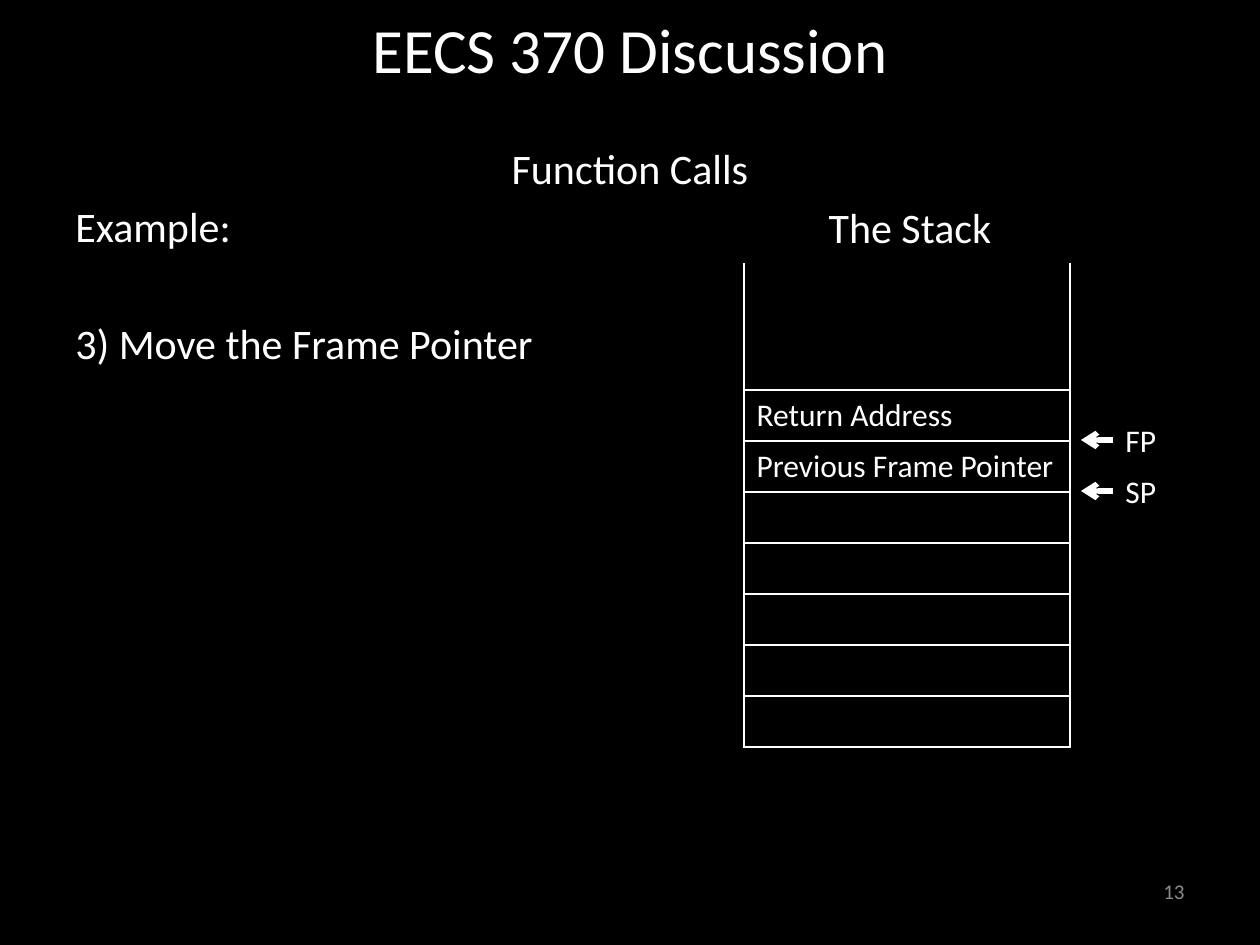
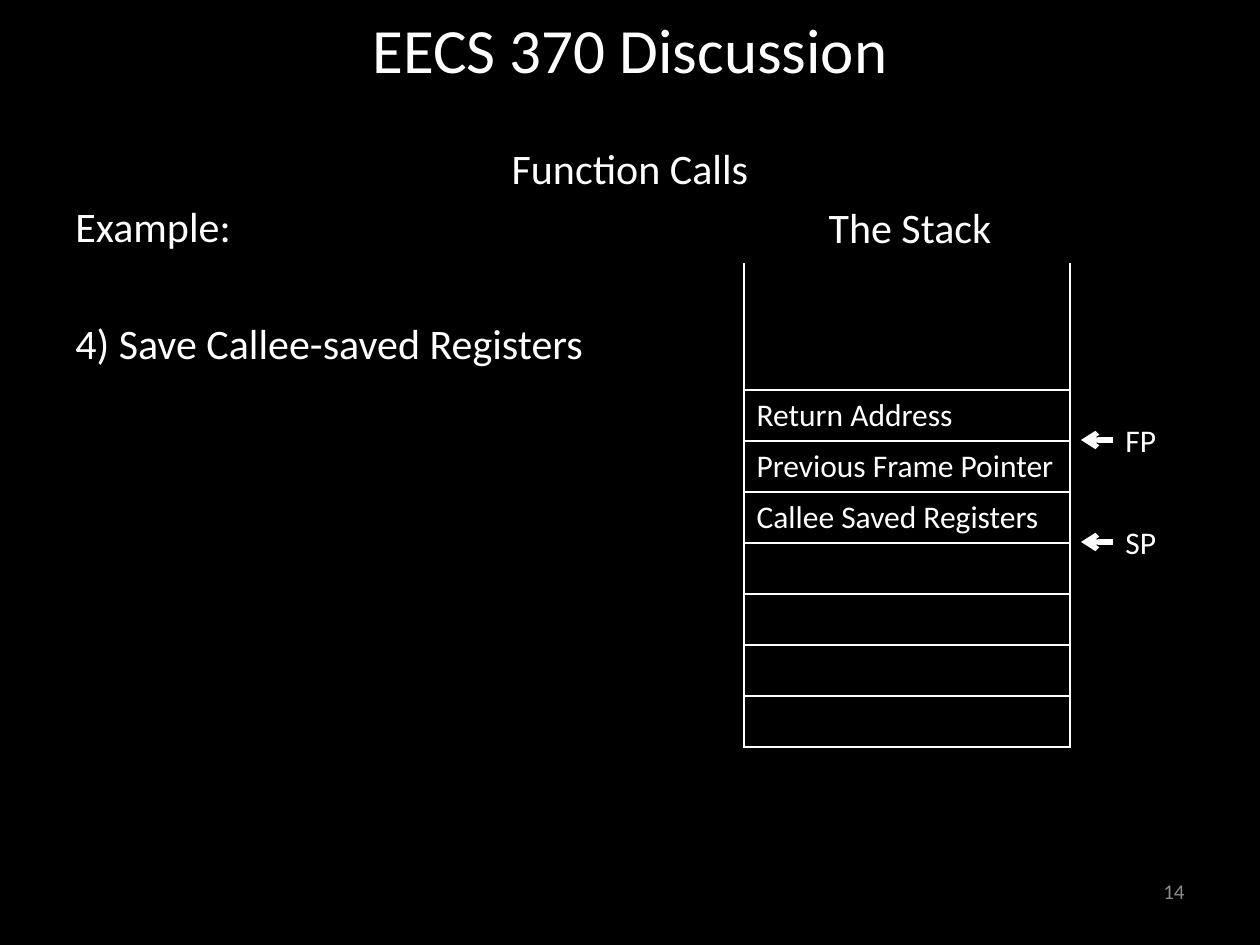
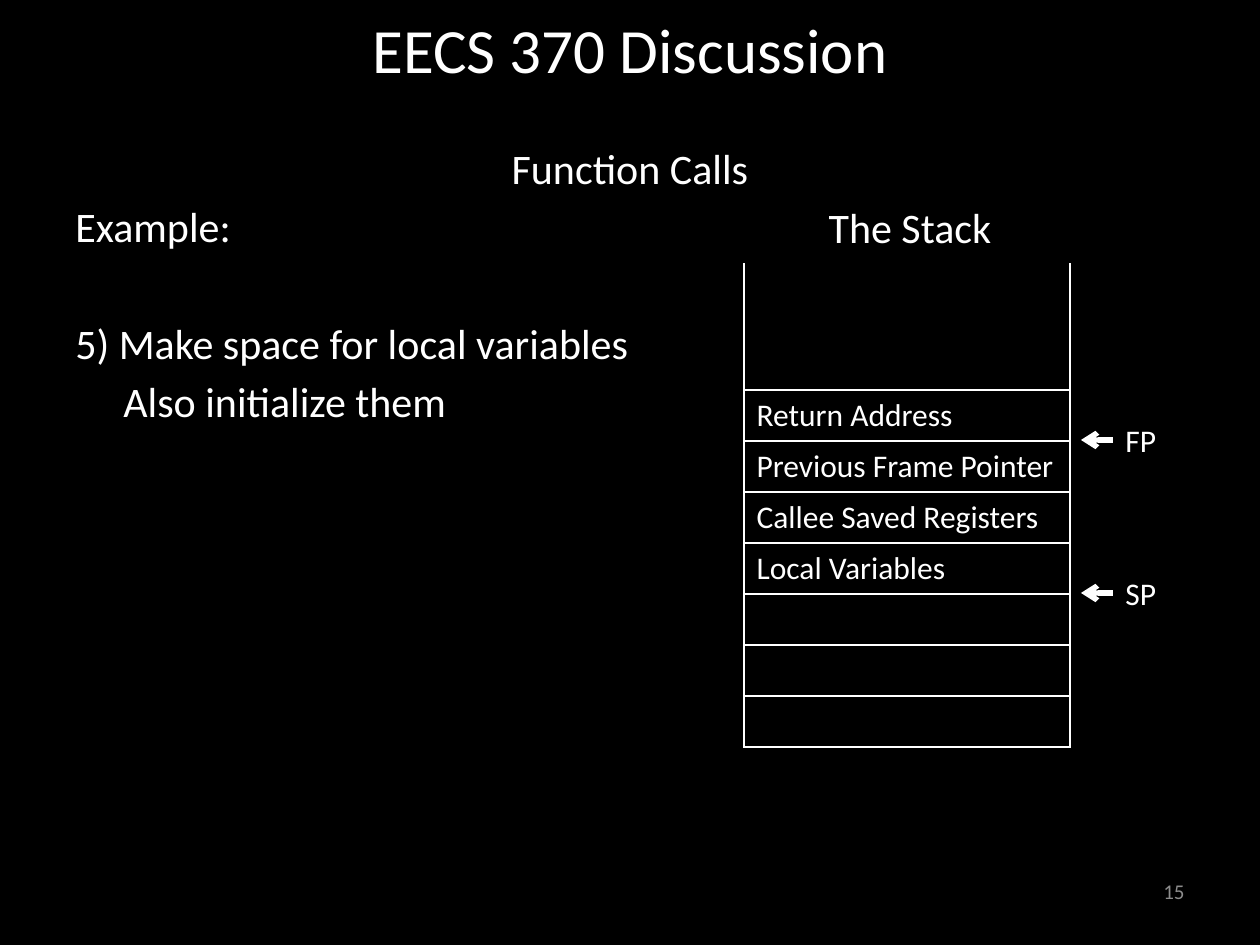
from lxml import etree
from pptx import Presentation
from pptx.dml.color import RGBColor
from pptx.enum.shapes import MSO_CONNECTOR
from pptx.enum.text import MSO_ANCHOR, MSO_AUTO_SIZE, PP_ALIGN
from pptx.oxml.ns import qn
from pptx.util import Pt

LEFT, CENTER, RIGHT = PP_ALIGN.LEFT, PP_ALIGN.CENTER, PP_ALIGN.RIGHT
TOP, MIDDLE = MSO_ANCHOR.TOP, MSO_ANCHOR.MIDDLE
STRAIGHT = MSO_CONNECTOR.STRAIGHT
GROW = MSO_AUTO_SIZE.SHAPE_TO_FIT_TEXT

TITLE = "EECS 370 Discussion"
SUBTITLE = "Function Calls"
LEAD = "Example:"
STACK_HEADING = "The Stack"
FRAME = ["Return Address", "Previous Frame Pointer", "Callee Saved Registers", "Local Variables"]
FIRST_NUMBER = 13
STEPS = [
    {"step": "3) Move the Frame Pointer", "detail": None, "used": 2},
    {"step": "4) Save Callee-saved Registers", "detail": None, "used": 3},
    {"step": "5) Make space for local variables", "detail": "Also initialize them", "used": 4},
]

COLORS = {"background": "000000", "text": "FFFFFF", "number": "8C8C8C"}
FONT = "Calibri"
PX = 914400 // 126

TITLE_BOX = (63, -31, 1134, 158)
BODY_BOX = (63, 136, 1134, 746)
HEADING_BOX = (747, 195, 326, 64)
NUMBER_BOX = (903, 866, 294, 50)
STACK_LEFT, STACK_TOP, STACK_WIDTH = 744, 263, 326
OPEN_ROW, ROW, ROWS = 127, 51, 8
LABEL_LEFT, LABEL_WIDTH, LABEL_HEIGHT = 1113, 68, 50
ARROW_TIP = 1081
LINE_GAP, STEP_GAP, DETAIL_INDENT = 8, 66, 48


def px(*lengths):
    return [length * PX for length in lengths]


def rgb(name):
    return RGBColor.from_string(COLORS[name])


def write(tf, text, size=24, color="text", align=LEFT, before=0, indent=0):
    p = tf.paragraphs[0]
    if p.runs:
        p = tf.add_paragraph()
    p.alignment = align
    p.space_before = Pt(round(before * PX / 12700, 1))
    if indent:
        p._p.get_or_add_pPr().set("marL", str(indent * PX))
    r = p.add_run()
    r.text = text
    r.font.name = FONT
    r.font.size = Pt(size)
    r.font.color.rgb = rgb(color)


def add_box(shapes, box, anchor=TOP):
    sp = shapes.add_textbox(*px(*box))
    sp.text_frame.word_wrap = True
    sp.text_frame.vertical_anchor = anchor
    return sp


def set_borders(cell, sides):
    tcPr = cell._tc.get_or_add_tcPr()
    for i, side in enumerate("LRTB"):
        ln = etree.Element(qn(f"a:ln{side}"), w=str(Pt(1)))
        if side in sides:
            fill = etree.SubElement(ln, qn("a:solidFill"))
            etree.SubElement(fill, qn("a:srgbClr"), val=COLORS["text"])
        else:
            etree.SubElement(ln, qn("a:noFill"))
        tcPr.insert(i, ln)


def add_stack(s, used):
    height = OPEN_ROW + ROW * (ROWS - 1)
    frame = s.shapes.add_table(ROWS, 1, *px(STACK_LEFT, STACK_TOP, STACK_WIDTH, height))
    table = frame.table
    table.first_row = table.horz_banding = False
    for i, row in enumerate(table.rows):
        row.height = (ROW if i else OPEN_ROW) * PX
        cell = row.cells[0]
        cell.fill.background()
        set_borders(cell, "LRTB" if i else "LRB")
        if 1 <= i <= used:
            write(cell.text_frame, FRAME[i - 1], size=18)


def add_pointer(s, name, used):
    y = STACK_TOP + OPEN_ROW + ROW * used - 1
    group = s.shapes.add_group_shape()
    label = add_box(group.shapes, (LABEL_LEFT, y - LABEL_HEIGHT // 2, LABEL_WIDTH, LABEL_HEIGHT))
    label.text_frame.auto_size = GROW
    write(label.text_frame, name, size=18)
    arrow = group.shapes.add_connector(STRAIGHT, *px(LABEL_LEFT, y, ARROW_TIP, y))
    arrow.begin_connect(label, 1)
    arrow.line.color.rgb = rgb("text")
    arrow.line.width = Pt(3)
    etree.SubElement(arrow.line._get_or_add_ln(), qn("a:tailEnd"), type="arrow")
    etree.SubElement(arrow._element.spPr, qn("a:effectLst"))


def add_step(prs, number, step, detail, used):
    s = prs.slides.add_slide(prs.slide_layouts[6])
    write(add_box(s.shapes, TITLE_BOX, MIDDLE).text_frame, TITLE, size=36, align=CENTER)
    body = add_box(s.shapes, BODY_BOX).text_frame
    write(body, SUBTITLE, align=CENTER)
    write(body, LEAD, before=LINE_GAP)
    write(body, step, before=STEP_GAP)
    if detail:
        write(body, detail, before=LINE_GAP, indent=DETAIL_INDENT)
    write(add_box(s.shapes, HEADING_BOX).text_frame, STACK_HEADING, align=CENTER)
    write(add_box(s.shapes, NUMBER_BOX, MIDDLE).text_frame, str(number),
          size=12, color="number", align=RIGHT)
    add_stack(s, used)
    add_pointer(s, "FP", 1)
    add_pointer(s, "SP", used)


def main():
    prs = Presentation()
    prs.slide_width, prs.slide_height = px(1260, 945)
    fill = prs.slide_master.background.fill
    fill.solid()
    fill.fore_color.rgb = rgb("background")
    for number, content in enumerate(STEPS, FIRST_NUMBER):
        add_step(prs, number, **content)
    prs.save("out.pptx")


if __name__ == "__main__":
    main()
